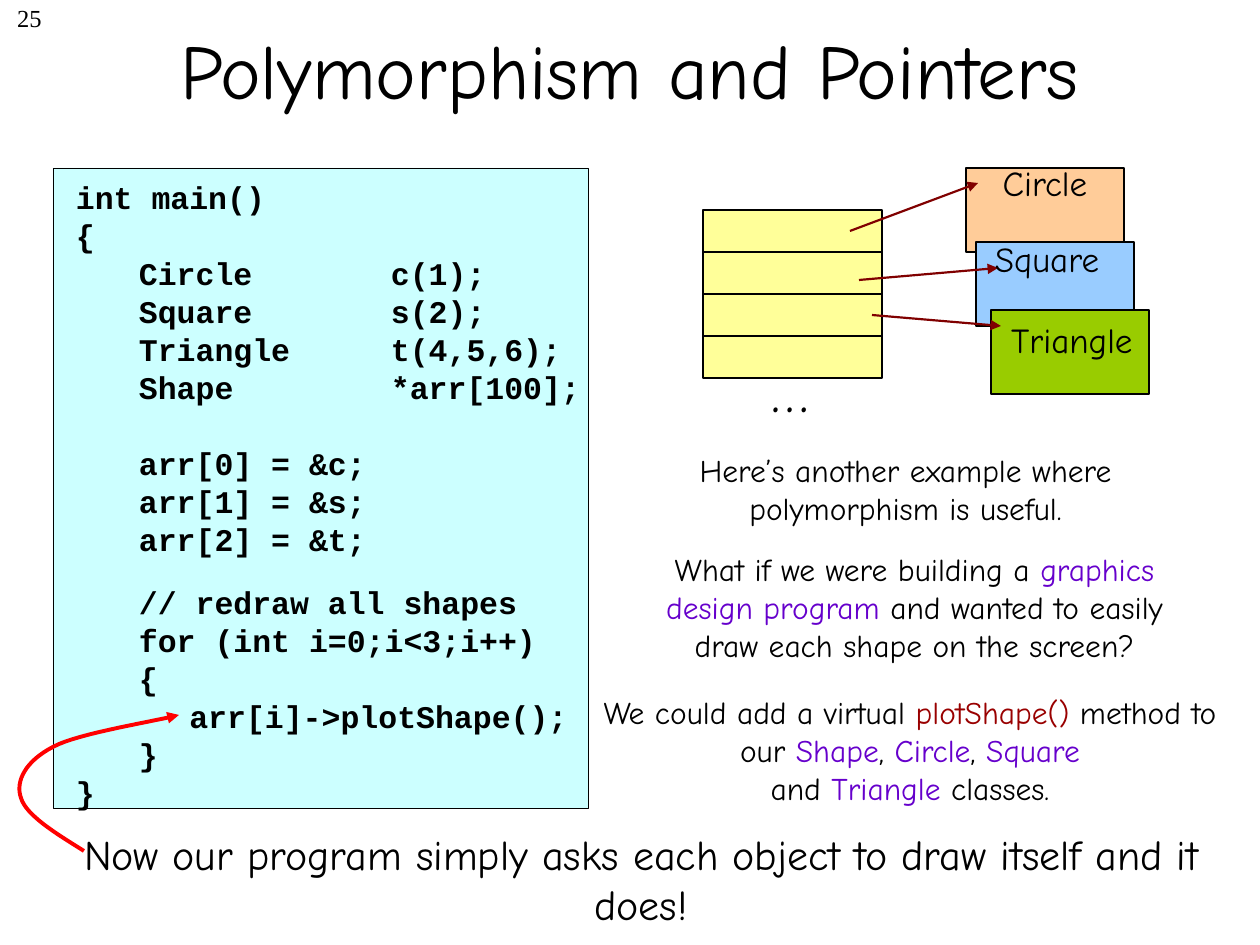
from lxml.etree import SubElement
from pptx import Presentation
from pptx.dml.color import RGBColor
from pptx.enum.shapes import MSO_CONNECTOR, MSO_SHAPE
from pptx.enum.text import MSO_ANCHOR, PP_ALIGN
from pptx.oxml.ns import qn
from pptx.util import Pt

BLACK = RGBColor(0x00, 0x00, 0x00)
AQUA = RGBColor(0xCC, 0xFF, 0xFF)
CREAM = RGBColor(0xFF, 0xFF, 0x99)
PEACH = RGBColor(0xFF, 0xCC, 0x99)
SKY = RGBColor(0x99, 0xCC, 0xFF)
LIME = RGBColor(0x99, 0xCC, 0x00)
RED = RGBColor(0xFF, 0x00, 0x00)
MAROON = RGBColor(0x80, 0x00, 0x00)
BRICK = RGBColor(0x99, 0x00, 0x00)
PURPLE = RGBColor(0x66, 0x00, 0xCC)

TITLE = {"name": "Comic Neue", "size": Pt(44)}
NOTE = {"name": "Comic Neue", "size": Pt(18)}
CLOSE = {"name": "Comic Neue", "size": Pt(24)}
LABEL = {"name": "Comic Neue", "size": Pt(20)}
DOTS = {"name": "Comic Neue", "size": Pt(32)}
PAGE = {"name": "Times New Roman", "size": Pt(14)}
CODE = {"name": "Courier New", "size": Pt(18), "bold": True}

LINES = [
    ("int main()", 0),
    ("{", 0),
    ("\tCircle\tc(1);", 0),
    ("\tSquare\ts(2);", 0),
    ("\tTriangle\tt(4,5,6);", 0),
    ("\tShape\t*arr[100];", 0),
    ("\tarr[0] = &c;", 38),
    ("\tarr[1] = &s;", 0),
    ("\tarr[2] = &t;", 0),
    ("\t// redraw all shapes", 25),
    ("\tfor (int i=0;i<3;i++)", 0),
    ("\t{", 0),
    ("      arr[i]->plotShape();", 0),
    ("\t}", 0),
    ("}", 0),
]


def px(n):
    return round(n * 914400 / 126)


def put(para, text, fmt, color=BLACK):
    run = para.add_run()
    run.text = text
    for key, val in fmt.items():
        setattr(run.font, key, val)
    run.font.color.rgb = color


def frame(slide, box):
    body = slide.shapes.add_textbox(*map(px, box)).text_frame
    body.word_wrap = True
    return body


def write(slide, box, parts, fmt, align=PP_ALIGN.CENTER):
    body = frame(slide, box)
    para = body.paragraphs[0]
    para.alignment = align
    for text, color in parts:
        if text == "\n":
            para.add_line_break()
        else:
            put(para, text, fmt, color)
    return body


def block(slide, box, fill, width=1.25):
    rect = slide.shapes.add_shape(MSO_SHAPE.RECTANGLE, *map(px, box))
    rect.shadow.inherit = False
    rect.fill.solid()
    rect.fill.fore_color.rgb = fill
    rect.line.color.rgb = BLACK
    rect.line.width = Pt(width)


def point(item, color, width):
    item.line.color.rgb = color
    item.line.width = Pt(width)
    SubElement(item.line._get_or_add_ln(), qn("a:tailEnd"), type="triangle")


def arrow(slide, ends):
    line = slide.shapes.add_connector(MSO_CONNECTOR.STRAIGHT, *map(px, ends))
    point(line, MAROON, 1.25)
    SubElement(line._element.spPr, qn("a:effectLst"))


def header(slide, x, y, w, h):
    write(slide, (x, y - 3, 54, 63), [("25", BLACK)], PAGE, PP_ALIGN.RIGHT)
    body = write(slide, (x + 94, y, w - 188, h),
                 [("Polymorphism and Pointers", BLACK)], TITLE)
    body.vertical_anchor = MSO_ANCHOR.MIDDLE


def listing(slide, x, y, w, h):
    block(slide, (x, y, w, h), AQUA, 0.25)
    body = frame(slide, (x, y + 4, w + 30, h))
    body.margin_left = px(23)
    for i, (text, gap) in enumerate(LINES):
        para = body.add_paragraph() if i else body.paragraphs[0]
        para.line_spacing = Pt(21.7)
        if gap:
            para.space_before = px(gap)
        tabs = SubElement(para._p.get_or_add_pPr(), qn("a:tabLst"))
        for stop in (63, 315):
            SubElement(tabs, qn("a:tab"), pos=str(px(stop)), algn="l")
        put(para, text, CODE)


def notes(slide, x, y, w):
    write(slide, (x, y, w, 89),
          [("Here’s another example where polymorphism is useful.", BLACK)], NOTE)
    write(slide, (x + 43, y + 99, 567, 127), [
        ("What if we were building a ", BLACK),
        ("graphics design program", PURPLE),
        (" and wanted to easily draw each shape on the screen?", BLACK),
    ], NOTE)
    write(slide, (x, y + 242, w + 9, 127), [
        ("We could add a virtual ", BLACK), ("plotShape()", BRICK),
        (" method to our ", BLACK), ("Shape", PURPLE), (", ", BLACK),
        ("Circle", PURPLE), (", ", BLACK), ("Square", PURPLE), ("\n", BLACK),
        ("and ", BLACK), ("Triangle ", PURPLE), ("classes.", BLACK),
    ], NOTE)


def bend(a, b, c, d, steps=16):
    for i in range(1, steps + 1):
        t = i / steps
        s = 1 - t
        yield tuple(px(s**3 * e + 3 * s * s * t * f + 3 * s * t * t * g + t**3 * h)
                    for e, f, g, h in zip(a, b, c, d))


def closing(slide, x, y, w, h):
    write(slide, (x, y, w, h),
          [("Now our program simply asks each object to draw itself and it does!",
            BLACK)], CLOSE)
    knots = [(31, 29), (2, 11), (-27, -7), (-32, -24),
             (-38, -41), (-27, -61), (0, -75), (25, -89), (110, -102), (126, -107)]
    knots = [(x + a, y + b) for a, b in knots]
    path = slide.shapes.build_freeform(*map(px, knots[0]), scale=1.0)
    for i in range(0, len(knots) - 1, 3):
        path.add_line_segments(bend(*knots[i:i + 4]), close=False)
    curve = path.convert_to_shape()
    curve.shadow.inherit = False
    curve.fill.background()
    point(curve, RED, 2.25)


def diagram(slide, x, y):
    for row in range(4):
        block(slide, (x, y + 42 + 42 * row, 179, 42), CREAM)
    write(slide, (x + 56, y + 182, 63, 79), [("…", BLACK)], DOTS)
    cards = [
        ("Circle", PEACH, (263, 0), (147, 63, 275, 15), (286, -13, 112)),
        ("Square", SKY, (273, 74), (156, 112, 295, 100), (279, 63, 130)),
        ("Triangle", LIME, (288, 142), (169, 147, 298, 158), (294, 144, 150)),
    ]
    for name, fill, (a, b), (p, q, r, s), (u, v, w) in cards:
        block(slide, (x + a, y + b, 158, 84), fill)
        arrow(slide, (x + p, y + q, x + r, y + s))
        write(slide, (x + u, y + v, w, 54), [(name, BLACK)], LABEL)


def main():
    deck = Presentation()
    deck.slide_width, deck.slide_height = px(1260), px(945)
    slide = deck.slides.add_slide(deck.slide_layouts[6])
    header(slide, 0, 0, 1260, 137)
    listing(slide, 53, 168, 535, 640)
    notes(slide, 588, 445, 635)
    closing(slide, 53, 822, 1176, 115)
    diagram(slide, 703, 168)
    deck.save("out.pptx")


if __name__ == "__main__":
    main()
